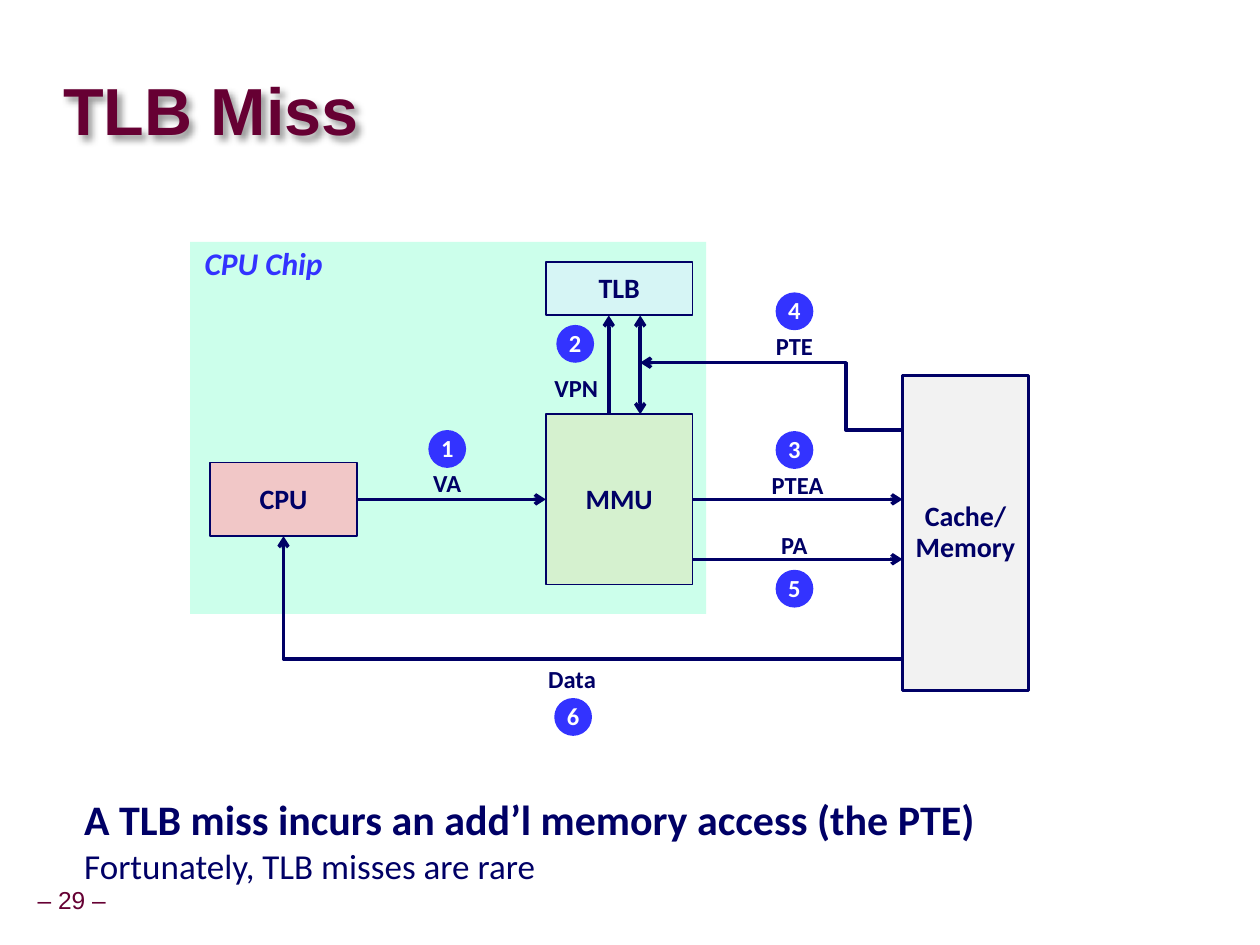
from lxml import etree
from pptx import Presentation
from pptx import util as u
from pptx.dml.color import RGBColor
from pptx.enum import shapes, text
from pptx.oxml import ns

NAVY, MAROON, BLUE, WHITE = "000066", "660033", "3333FF", "FFFFFF"
COLUMNS, ROWS = 80, 47  # grid of the diagram


def color(hex_value):
    return RGBColor.from_string(hex_value)


def add_child(parent, tag, **attributes):
    return etree.SubElement(parent, ns.qn(tag), attributes)


class Grid:
    """Turns columns and rows inside a box into slide lengths."""

    def __init__(self, left, top, width, height):
        self.left, self.top = left, top
        self.column, self.row = width / COLUMNS, height / ROWS

    def point(self, column, row):
        return int(self.left + column * self.column), int(self.top + row * self.row)

    def box(self, column, row, columns, rows):
        return (*self.point(column, row), int(columns * self.column), int(rows * self.row))


def add_run(paragraph, words, size, hex_value=NAVY, font="Calibri", bold=True, italic=False):
    run = paragraph.add_run()
    run.text = words
    run.font.name, run.font.size = font, u.Pt(size)
    run.font.bold, run.font.italic = bold, italic
    run.font.color.rgb = color(hex_value)


def write_centred(shape, lines, size, hex_value=NAVY, spacing=0.98, **style):
    frame = shape.text_frame
    frame.word_wrap = False
    frame.margin_left = frame.margin_right = 0
    frame.vertical_anchor = text.MSO_ANCHOR.MIDDLE
    for index, line in enumerate(lines):
        paragraph = frame.add_paragraph() if index else frame.paragraphs[0]
        paragraph.alignment = text.PP_ALIGN.CENTER
        paragraph.line_spacing = spacing
        add_run(paragraph, line, size, hex_value, **style)


def add_block(slide, box, fill, lines=(), kind="RECTANGLE", line_width=0,
              size=16, hex_value=NAVY, spacing=0.98):
    shape = slide.shapes.add_shape(getattr(shapes.MSO_SHAPE, kind), *box)
    shape.shadow.inherit = False
    shape.fill.solid()
    shape.fill.fore_color.rgb = color(fill)
    if line_width:
        shape.line.color.rgb = color(NAVY)
        shape.line.width = u.Pt(line_width)
    else:
        shape.line.fill.background()
    write_centred(shape, lines, size, hex_value, spacing)


def add_label(slide, box, words, size=14, **style):
    write_centred(slide.shapes.add_textbox(*box), [words], size, **style)


def add_arrow(slide, start, end, preset=None, bend=None, both_ends=False):
    kind = shapes.MSO_CONNECTOR.ELBOW if preset else shapes.MSO_CONNECTOR.STRAIGHT
    connector = slide.shapes.add_connector(kind, *start, *end)
    connector.line.color.rgb = color(NAVY)
    connector.line.width = u.Pt(2)
    properties = connector._element.spPr
    line = properties.find(ns.qn("a:ln"))
    if both_ends:
        add_child(line, "a:headEnd", type="arrow")
    add_child(line, "a:tailEnd", type="arrow")
    add_child(properties, "a:effectLst")
    if preset:
        geometry = properties.find(ns.qn("a:prstGeom"))
        geometry.set("prst", preset)
        if bend:
            guides = geometry.find(ns.qn("a:avLst"))
            add_child(guides, "a:gd", name="adj1", fmla=f"val {int(bend * 100000)}")


def draw_diagram(slide, left, top, width, height):
    grid = Grid(left, top, width, height)
    add_block(slide, grid.box(0, 0, 49.2, 35.4), "CCFFEB")
    add_label(slide, grid.box(0, 0, 14, 4.4), "CPU Chip", 18,
              hex_value=BLUE, spacing=0.9, italic=True)

    for name, fill, box in (
        ("CPU", "F1C7C7", (1.9, 21, 14, 7)),
        ("MMU", "D5F1CF", (33.9, 16.4, 14, 16.2)),
        ("TLB", "D6F5F5", (33.9, 1.9, 14, 5.1)),
    ):
        add_block(slide, grid.box(*box), fill, [name], line_width=1)
    add_block(slide, grid.box(67.9, 12.7, 12, 30), "F2F2F2", ["Cache/", "Memory"],
              line_width=1.5, spacing=0.9)

    for start, end, options in (
        ((15.9, 24.5), (33.9, 24.5), {}),
        ((39.9, 16.4), (39.9, 7), {}),
        ((42.9, 7), (42.9, 16.4), {"both_ends": True}),
        ((47.9, 24.5), (67.9, 24.5), {}),
        ((47.9, 30.2), (67.9, 30.2), {}),
        ((67.9, 17.9), (42.9, 11.5), {"preset": "bentConnector3", "bend": 0.216}),
        ((67.9, 39.7), (8.9, 28), {"preset": "bentConnector2"}),
    ):
        add_arrow(slide, grid.point(*start), grid.point(*end), **options)

    label_width, label_height, badge = 7, 4, 3.6
    for words, column, row in (
        ("VA", 24.5, 23), ("VPN", 36.8, 14), ("PTEA", 57.9, 23.2),
        ("PTE", 57.6, 10), ("PA", 57.6, 28.9), ("Data", 36.4, 41.7),
    ):
        add_label(slide, grid.box(column - label_width / 2, row - label_height / 2,
                                  label_width, label_height), words)

    step_centres = ((24.5, 19.7), (36.7, 9.7), (57.6, 19.8),
                    (57.6, 6.6), (57.6, 33), (36.5, 45.2))
    for number, (column, row) in enumerate(step_centres, 1):
        add_block(slide, grid.box(column - badge / 2, row - badge / 2, badge, badge),
                  BLUE, [str(number)], "OVAL", size=14, hex_value=WHITE)


def place_title(slide, words, left, top, width, height):
    title = slide.shapes.title
    title.left, title.top, title.width, title.height = left, top, width, height
    frame = title.text_frame
    frame.margin_left = frame.margin_right = frame.margin_top = frame.margin_bottom = 0
    frame.vertical_anchor = text.MSO_ANCHOR.MIDDLE
    paragraph = frame.paragraphs[0]
    paragraph.alignment = text.PP_ALIGN.LEFT
    paragraph.line_spacing = 0.87
    add_run(paragraph, words, 38, MAROON, "Arial")
    effects = add_child(title._element.spPr, "a:effectLst")
    shadow = add_child(effects, "a:outerShdw", blurRad="50800", dist="38100",
                       dir="2700000", algn="tl", rotWithShape="0")
    shade = add_child(shadow, "a:srgbClr", val="000000")
    add_child(shade, "a:alpha", val="40000")


def place_takeaway(slide, left, top, width, height):
    frame = slide.shapes.add_textbox(left, top, width, height).text_frame
    frame.word_wrap = True
    paragraph = frame.paragraphs[0]
    add_run(paragraph, "A TLB miss incurs an add’l memory access (the PTE)", 24)
    paragraph.add_line_break()
    add_run(paragraph, "Fortunately, TLB misses are rare", 20, bold=False)


def main():
    presentation = Presentation()
    presentation.slide_width, presentation.slide_height = u.Inches(10), u.Inches(7.5)
    slide = presentation.slides.add_slide(presentation.slide_layouts[5])
    place_title(slide, "TLB Miss", u.Inches(0.5), u.Inches(0.48), u.Inches(9.53), u.Inches(0.86))
    draw_diagram(slide, u.Inches(1.51), u.Inches(1.92), u.Inches(6.66), u.Inches(3.92))
    place_takeaway(slide, u.Inches(0.57), u.Inches(6.25), u.Inches(8.43), u.Inches(1))
    add_label(slide, (u.Inches(0.24), u.Inches(7), u.Inches(0.66), u.Inches(0.31)), "– 29 –",
              hex_value=MAROON, font="Arial", bold=False, spacing=0.9)
    presentation.save("out.pptx")


if __name__ == "__main__":
    main()
